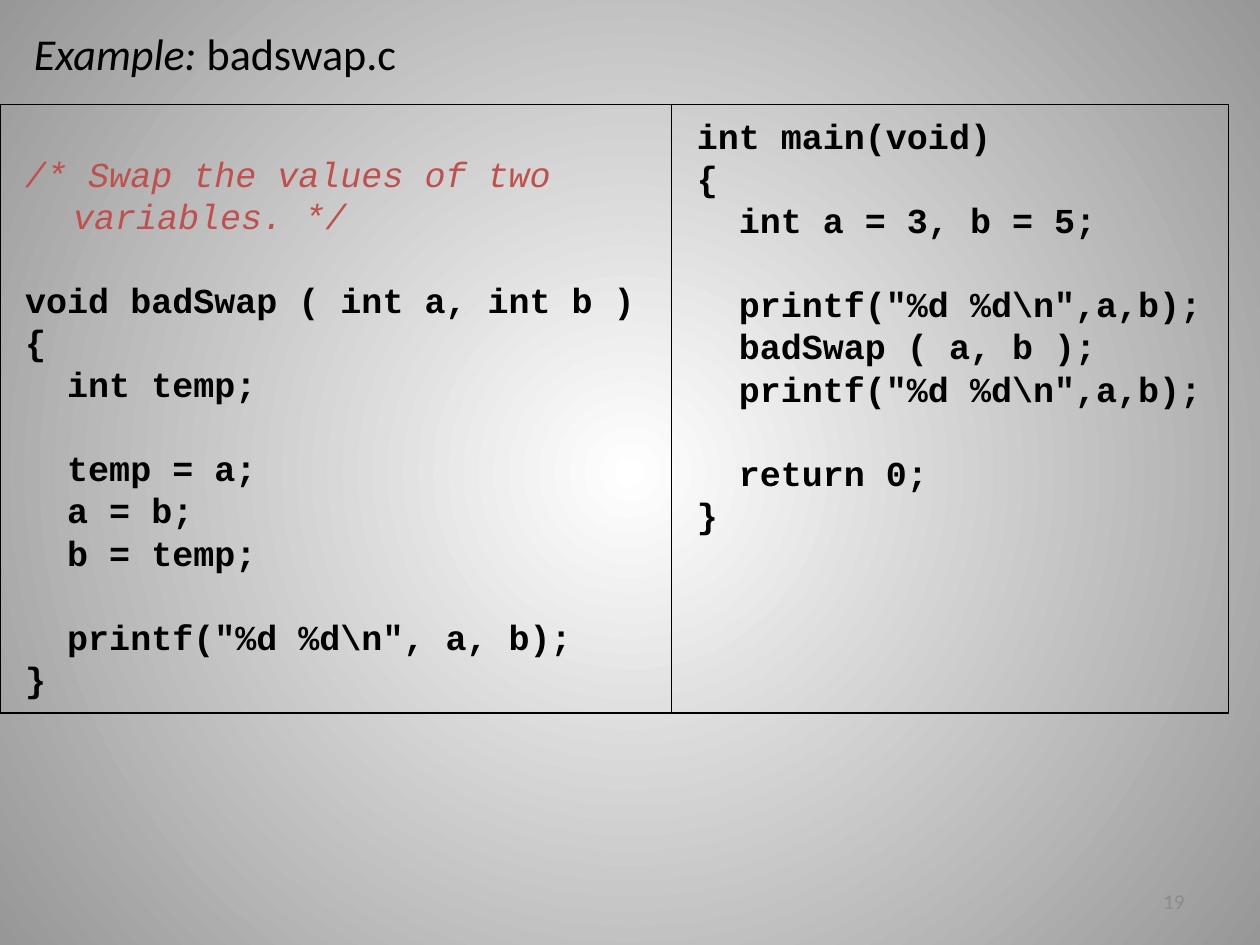
from lxml.etree import SubElement
from pptx import Presentation
from pptx.dml.color import RGBColor
from pptx.enum.shapes import MSO_SHAPE
from pptx.enum.text import MSO_ANCHOR, PP_ALIGN
from pptx.oxml.ns import qn
from pptx.util import Inches, Pt

BLACK = RGBColor(0x00, 0x00, 0x00)
WHITE = RGBColor(0xFF, 0xFF, 0xFF)
GRAY = RGBColor(0x97, 0x97, 0x97)
NUMBER_GRAY = RGBColor(0x8B, 0x8B, 0x8B)
COMMENT_RED = RGBColor(0xC0, 0x50, 0x4D)

COMMENT = "/* Swap the values of two variables. */"
SWAP_CODE = COMMENT + r"""

void badSwap ( int a, int b )
{
  int temp;

  temp = a;
  a = b;
  b = temp;

  printf("%d %d\n", a, b);
}"""

MAIN_CODE = r"""int main(void)
{
  int a = 3, b = 5;

  printf("%d %d\n",a,b);
  badSwap ( a, b );
  printf("%d %d\n",a,b);

  return 0;
}"""


def add_text(paragraph, text, font="Calibri", size=12, color=BLACK, bold=False, italic=False):
    run = paragraph.add_run()
    run.text = text
    run.font.name = font
    run.font.size = Pt(size)
    run.font.color.rgb = color
    run.font.bold = bold
    run.font.italic = italic


class SlideBuilder:
    code_font = "Courier New"
    code_size = 20
    line_height = Pt(24.05)
    hanging = Inches(0.38)

    def __init__(self, slide):
        self.slide = slide

    def background(self, center, edge):
        fill = self.slide.background.fill
        fill.gradient()
        for stop, color in zip(fill.gradient_stops, (center, edge)):
            stop.color.rgb = color
        # Circular gradient from the middle of the slide
        gradient = self.slide.element.find(".//" + qn("a:gradFill"))
        gradient.remove(gradient.find(qn("a:lin")))
        circle = SubElement(gradient, qn("a:path"), path="circle")
        SubElement(circle, qn("a:fillToRect"), l="50000", t="50000", r="50000", b="50000")

    def text_box(self, left, top, width, height, align=PP_ALIGN.LEFT):
        box = self.slide.shapes.add_textbox(
            Inches(left), Inches(top), Inches(width), Inches(height))
        frame = box.text_frame
        frame.word_wrap = True
        frame.vertical_anchor = MSO_ANCHOR.MIDDLE
        paragraph = frame.paragraphs[0]
        paragraph.alignment = align
        return paragraph

    def code_panel(self, left, width, code, top_margin):
        panel = self.slide.shapes.add_shape(
            MSO_SHAPE.RECTANGLE, Inches(left), Inches(0.83), Inches(width), Inches(4.83))
        panel.shadow.inherit = False
        panel.fill.background()
        panel.line.color.rgb = BLACK
        panel.line.width = Pt(0.75)
        frame = panel.text_frame
        frame.word_wrap = True
        frame.vertical_anchor = MSO_ANCHOR.TOP
        frame.margin_left = Inches(0.2)
        frame.margin_top = Inches(top_margin)
        # Each block after the first starts one line lower
        for block_index, block in enumerate(code.split("\n\n")):
            for line_index, line in enumerate(block.split("\n")):
                first = block_index == line_index == 0
                paragraph = frame.paragraphs[0] if first else frame.add_paragraph()
                self.code_line(paragraph, line)
                if block_index and line_index == 0:
                    paragraph.space_before = self.line_height

    def code_line(self, paragraph, line):
        paragraph.alignment = PP_ALIGN.LEFT
        paragraph.line_spacing = self.line_height
        properties = paragraph._p.get_or_add_pPr()
        properties.set("marL", str(self.hanging))
        properties.set("indent", str(-self.hanging))
        is_comment = line == COMMENT
        add_text(paragraph, line, font=self.code_font, size=self.code_size,
                 color=COMMENT_RED if is_comment else BLACK,
                 bold=not is_comment, italic=is_comment)


def main():
    presentation = Presentation()
    presentation.slide_width = Inches(10)
    presentation.slide_height = Inches(7.5)
    builder = SlideBuilder(presentation.slides.add_slide(presentation.slide_layouts[6]))
    builder.background(WHITE, GRAY)

    # Title
    title = builder.text_box(0.17, 0.17, 3.83, 0.5)
    add_text(title, "Example: ", size=25.2, italic=True)
    add_text(title, "badswap.c", size=25.2)

    # Code side by side
    builder.code_panel(0, 5.33, SWAP_CODE, top_margin=0.38)
    builder.code_panel(5.33, 4.42, MAIN_CODE, top_margin=0.08)

    # Slide number
    number = builder.text_box(7.17, 6.95, 2.33, 0.4, align=PP_ALIGN.RIGHT)
    add_text(number, "19", color=NUMBER_GRAY)

    presentation.save("out.pptx")


if __name__ == "__main__":
    main()
